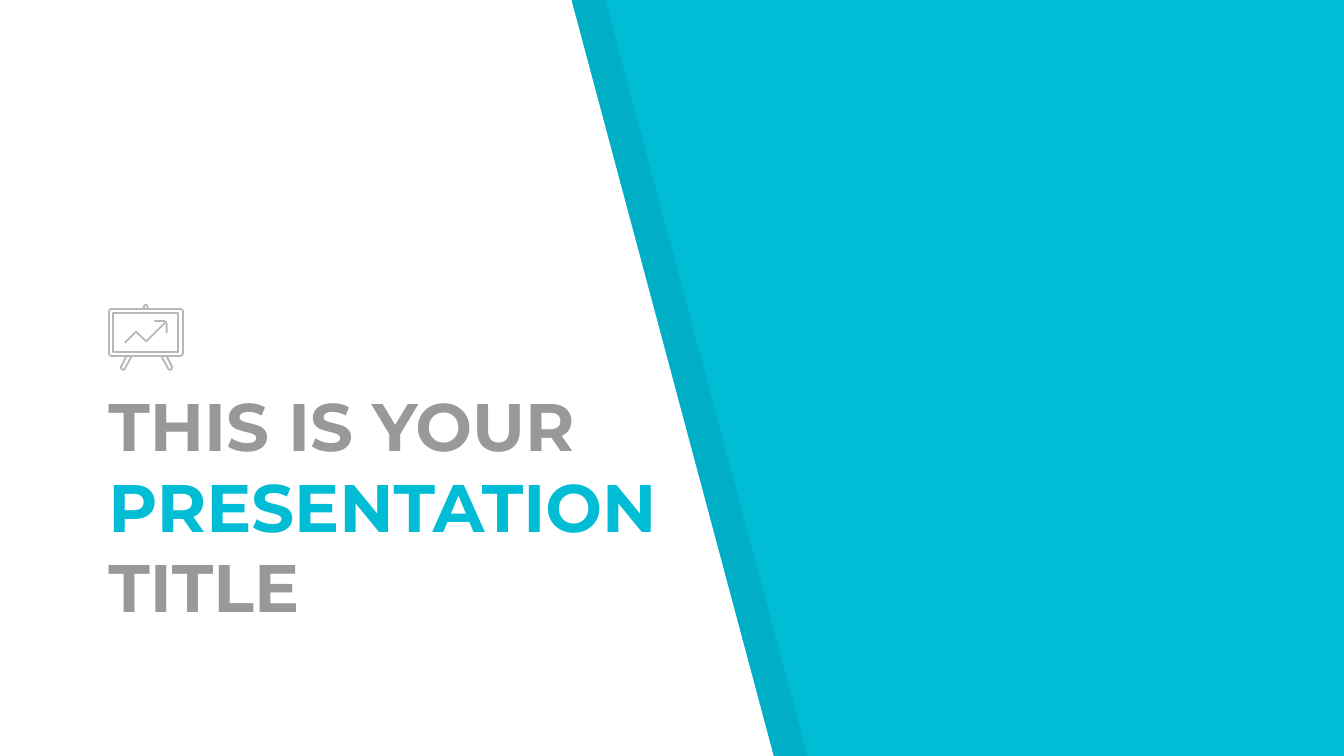
from lxml import etree
from pptx import Presentation
from pptx.dml.color import RGBColor
from pptx.enum.shapes import MSO_SHAPE
from pptx.enum.text import MSO_ANCHOR
from pptx.oxml.ns import qn
from pptx.util import Cm, Pt

CYAN = RGBColor(0x00, 0xBC, 0xD4)
GREY = RGBColor(0x99, 0x99, 0x99)
ICON_GREY = RGBColor(0xB7, 0xB7, 0xB7)
WHITE = RGBColor(0xFF, 0xFF, 0xFF)
BLACK = RGBColor(0x00, 0x00, 0x00)
ROUNDED = MSO_SHAPE.ROUNDED_RECTANGLE
RECTANGLE = MSO_SHAPE.RECTANGLE

# All lengths are in centimetres.
TITLE = [("THIS IS YOUR ", GREY), ("PRESENTATION ", CYAN), ("TITLE", GREY)]
TITLE_BOX = (1.8, 8.81, 11.73, 3.28)
PANEL = [(0, -0.02), (-0.02, 14.32), (14.63, 14.32), (10.8, 0)]
SHADE_OFFSET = 0.64
SHADE_OPACITY = 7

BOARD = (2.06, 5.84, 1.4, 0.89)
SCREEN = (2.13, 5.92, 1.24, 0.74)
ICON_AXIS = 2.77
LEG = [(2.39, 6.73), (2.29, 6.93), (2.29, 6.96), (2.31, 6.99),
       (2.34, 6.99), (2.36, 6.97), (2.49, 6.73)]
HOOK = [(2.79, 5.84), (2.79, 5.79), (2.78, 5.77), (2.76, 5.76),
        (2.74, 5.77), (2.72, 5.79), (2.72, 5.84)]
TREND = [(3.12, 6.1), (2.79, 6.43), (2.77, 6.45), (2.74, 6.43),
         (2.57, 6.27), (2.36, 6.48)]
ARROWHEAD = [(2.92, 6.07), (3.1, 6.07), (3.13, 6.08), (3.15, 6.12), (3.15, 6.3)]


def add_path(shapes, points, close=False):
    (x, y), *rest = [(Cm(px), Cm(py)) for px, py in points]
    builder = shapes.build_freeform(x, y)
    builder.add_line_segments(rest, close=close)
    shape = builder.convert_to_shape()
    shape.shadow.inherit = False
    return shape


def add_panel(shapes, points, color):
    shape = add_path(shapes, points, close=True)
    shape.fill.solid()
    shape.fill.fore_color.rgb = color
    shape.line.fill.background()
    return shape


def set_opacity(shape, percent):
    color = shape.fill._xPr.find(qn("a:solidFill"))[0]
    etree.SubElement(color, qn("a:alpha")).set("val", str(percent * 1000))


def add_easel_icon(slide):
    shapes = slide.shapes.add_group_shape().shapes
    board = shapes.add_shape(ROUNDED, *map(Cm, BOARD))
    board.adjustments[0] = 0.06
    screen = shapes.add_shape(RECTANGLE, *map(Cm, SCREEN))
    right_leg = [(2 * ICON_AXIS - x, y) for x, y in LEG]
    strokes = [add_path(shapes, points)
               for points in (HOOK, LEG, right_leg, TREND, ARROWHEAD)]
    for shape in (board, screen, *strokes):
        shape.shadow.inherit = False
        shape.fill.background()
        shape.line.color.rgb = ICON_GREY
        shape.line.width = Pt(0.96)


def add_title(slide):
    frame = slide.shapes.add_textbox(*map(Cm, TITLE_BOX)).text_frame
    frame.word_wrap = True
    frame.vertical_anchor = MSO_ANCHOR.BOTTOM
    frame.margin_left = frame.margin_right = Cm(0.25)
    frame.margin_top = frame.margin_bottom = Cm(0.25)
    para = frame.paragraphs[0]
    para.font.name = "Montserrat"
    para.font.size = Pt(36)
    para.font.bold = True
    for text, color in TITLE:
        span = para.add_run()
        span.text = text
        span.font.color.rgb = color


def main():
    deck = Presentation()
    deck.slide_width, deck.slide_height = Cm(25.4), Cm(14.29)
    slide = deck.slides.add_slide(deck.slide_layouts[6])
    slide.background.fill.solid()
    slide.background.fill.fore_color.rgb = CYAN

    shade_points = [(x + SHADE_OFFSET, y) for x, y in PANEL]
    set_opacity(add_panel(slide.shapes, shade_points, BLACK), SHADE_OPACITY)
    add_panel(slide.shapes, PANEL, WHITE)
    add_title(slide)
    add_easel_icon(slide)
    deck.save("out.pptx")


if __name__ == "__main__":
    main()
